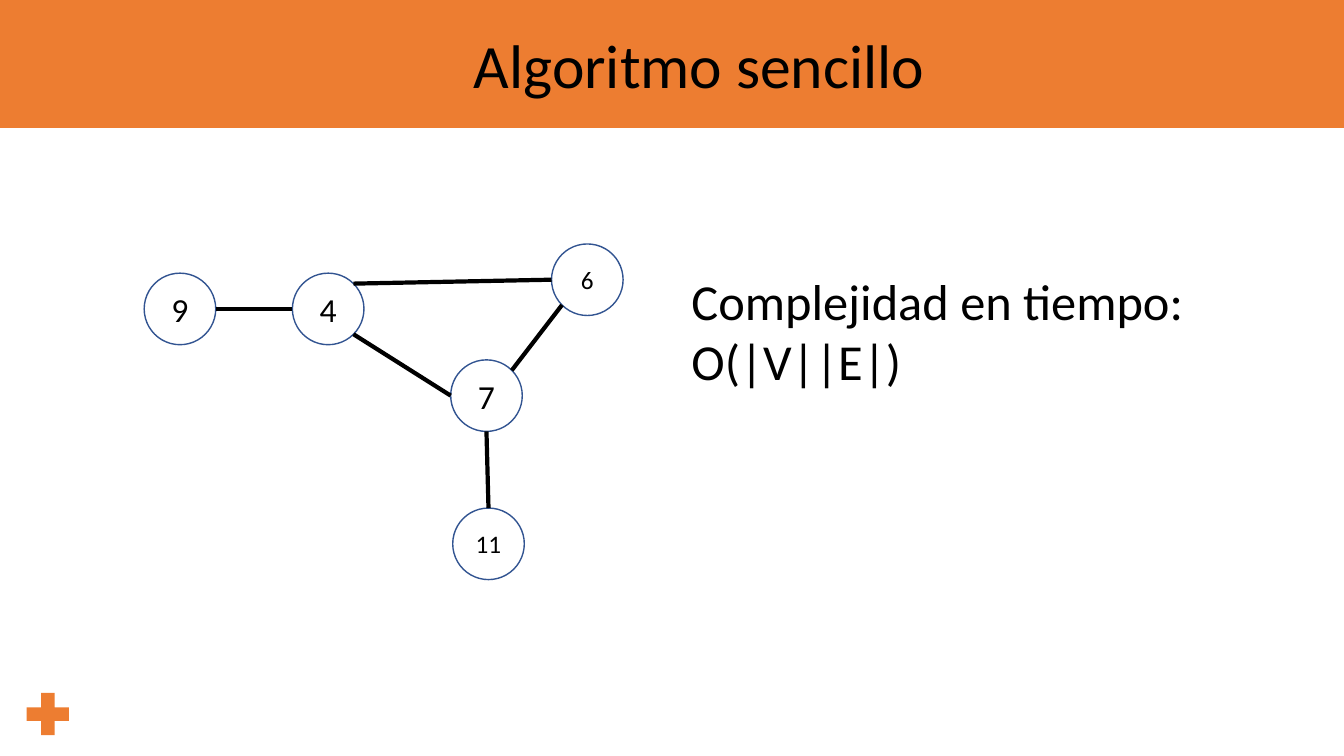
"""Build a slide showing a small graph and the time complexity of a simple algorithm."""
import math

import pptx
import pptx.util
from lxml import etree
from pptx.dml.color import RGBColor
from pptx.enum.shapes import MSO_CONNECTOR, MSO_SHAPE
from pptx.enum.text import MSO_ANCHOR, MSO_AUTO_SIZE, PP_ALIGN
from pptx.oxml.ns import qn
from pptx.util import Inches, Pt

COLORS = {"accent": "ED7D31", "outline": "325491", "ink": "000000"}
FONT = "Calibri"
DIAMETER = 0.71

NODES = {
    "9": (1.43, 2.71, 24),
    "4": (2.9, 2.71, 24),
    "7": (4.47, 3.57, 24),
    "6": (5.47, 2.42, 18),
    "11": (4.49, 5.04, 18),
}
EDGES = [
    ("6", 180, "4", 45),
    ("7", 45, "6", 225),
    ("7", 180, "4", 315),
    ("7", 270, "11", 90),
    ("9", 0, "4", 180),
]


def color(name):
    """Return the named colour."""
    return RGBColor.from_string(COLORS[name])


def write(paragraph, text, size):
    """Put text in a paragraph with the slide's font."""
    paragraph.text = text
    paragraph.font.name = FONT
    paragraph.font.size = Pt(size)
    paragraph.font.color.rgb = color("ink")


def add_solid(slide, kind, left, top, width, height):
    """Add a filled accent shape without outline."""
    shape = slide.shapes.add_shape(
        kind, Inches(left), Inches(top), Inches(width), Inches(height))
    shape.shadow.inherit = False
    shape.fill.solid()
    shape.fill.fore_color.rgb = color("accent")
    shape.line.fill.background()


def add_text(slide, text, left, top, width, height, size, wrap):
    """Add a text box with one paragraph."""
    box = slide.shapes.add_textbox(
        Inches(left), Inches(top), Inches(width), Inches(height))
    box.text_frame.word_wrap = wrap
    box.text_frame.auto_size = MSO_AUTO_SIZE.SHAPE_TO_FIT_TEXT
    write(box.text_frame.paragraphs[0], text, size)


def add_node(slide, label):
    """Add a graph node as a labelled circle."""
    left, top, size = NODES[label]
    shape = slide.shapes.add_shape(
        MSO_SHAPE.OVAL, Inches(left), Inches(top), Inches(DIAMETER), Inches(DIAMETER))
    shape.shadow.inherit = False
    shape.fill.background()
    shape.line.color.rgb = color("outline")
    shape.line.width = Pt(1)
    shape.text_frame.vertical_anchor = MSO_ANCHOR.MIDDLE
    paragraph = shape.text_frame.paragraphs[0]
    paragraph.alignment = PP_ALIGN.CENTER
    write(paragraph, label, size)


def rim_point(label, degrees):
    """Return the point on a node's rim at an anticlockwise angle from the right."""
    left, top, _ = NODES[label]
    radius = DIAMETER / 2
    angle = math.radians(degrees)
    return (Inches(left + radius * (1 + math.cos(angle))),
            Inches(top + radius * (1 - math.sin(angle))))


def add_edge(slide, start, start_angle, end, end_angle):
    """Join two nodes with a straight line."""
    connector = slide.shapes.add_connector(
        MSO_CONNECTOR.STRAIGHT, *rim_point(start, start_angle), *rim_point(end, end_angle))
    connector.line.color.rgb = color("ink")
    connector.line.width = Pt(3)
    etree.SubElement(connector._element.spPr, qn("a:effectLst"))


def main():
    """Build and save the presentation."""
    presentation = pptx.Presentation()
    presentation.slide_width = Inches(13.33)
    presentation.slide_height = Inches(7.5)
    slide = presentation.slides.add_slide(presentation.slide_layouts[6])

    add_solid(slide, MSO_SHAPE.RECTANGLE, -0.07, 0, 13.65, 1.27)
    add_text(slide, "Algoritmo sencillo", 4.6, 0.22, 4.72, 0.84, 44, False)
    for label in NODES:
        add_node(slide, label)
    for edge in EDGES:
        add_edge(slide, *edge)
    add_text(slide, "Complejidad en tiempo: O(|V||E|)", 6.76, 2.63, 5.63, 1.31, 36, True)
    add_solid(slide, MSO_SHAPE.MATH_PLUS, 0.19, 6.8, 0.57, 0.57)

    presentation.save("out.pptx")


if __name__ == "__main__":
    main()
